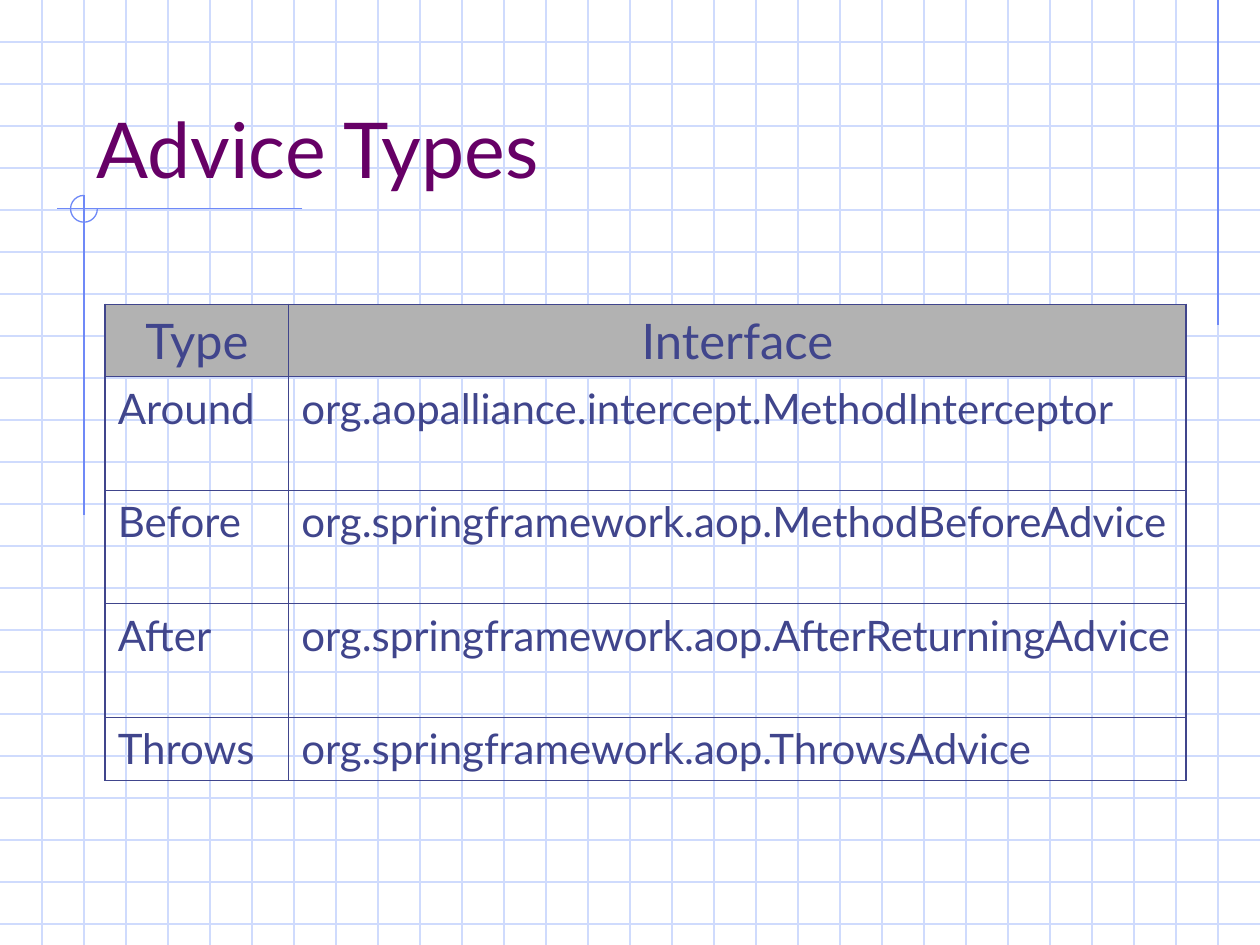
from lxml import etree
from pptx import Presentation
from pptx import util as u
from pptx.dml.color import RGBColor
from pptx.enum import shapes, text
from pptx.oxml import ns

FONT = "Lato"
GRID_BLUE, ACCENT, PURPLE = "CFDBFD", "6F89F7", "660066"
INK, HEADER_GREY = "40458C", "B2B2B2"
WIDTH, HEIGHT = 25.4, 19.05
STEP = WIDTH / 30  # side of a grid square, in cm
THIN, THICK = 0.45, 1.08  # table rules, in points

ADVICE = [
    ("Type", "Interface"),
    ("Around", "org.aopalliance.intercept.MethodInterceptor"),
    ("Before", "org.springframework.aop.MethodBeforeAdvice"),
    ("After", "org.springframework.aop.AfterReturningAdvice"),
    ("Throws", "org.springframework.aop.ThrowsAdvice"),
]


def color(hex_string):
    return RGBColor.from_string(hex_string)


def add_line(slide, x1, y1, x2, y2, stroke):
    line = slide.shapes.add_connector(
        shapes.MSO_CONNECTOR.STRAIGHT, u.Cm(x1), u.Cm(y1), u.Cm(x2), u.Cm(y2))
    line.line.color.rgb = color(stroke)
    line.line.width = u.Pt(0.75)
    etree.SubElement(line._element.spPr, ns.qn("a:effectLst"))


def format_paragraph(paragraph, size, ink):
    for run in paragraph.runs:
        run.font.name = FONT
        run.font.size = u.Pt(size)
        run.font.color.rgb = color(ink)


def add_grid(slide, left, top, width, height):
    for row in range(1, int(height / STEP) + 1):
        y = top + row * STEP
        add_line(slide, left, y, left + width, y, GRID_BLUE)
    for column in range(1, round(width / STEP)):
        x = left + column * STEP
        add_line(slide, x, top, x, top + height, GRID_BLUE)


def add_ornament(slide, left, top, width, height):
    """Rule at top right, and a crosshair with a three-quarter ring."""
    rule_x = left + width - STEP
    add_line(slide, rule_x, top, rule_x, top + 6.55, ACCENT)

    cross_x, cross_y, radius = left + 2 * STEP, top + 4.21, 0.27
    add_line(slide, cross_x + 4.4, cross_y, cross_x - 0.55, cross_y, ACCENT)
    add_line(slide, cross_x, cross_y - radius, cross_x, top + 10.39, ACCENT)

    ring = slide.shapes.add_shape(
        shapes.MSO_SHAPE.ARC, u.Cm(cross_x - radius), u.Cm(cross_y - radius),
        u.Cm(2 * radius), u.Cm(2 * radius))
    ring.adjustments[0] = 0
    ring.adjustments[1] = 162  # 270 degrees
    ring.fill.background()
    ring.line.color.rgb = color(ACCENT)
    ring.line.width = u.Pt(0.75)
    ring.shadow.inherit = False


def add_title(slide, left, top, width, height):
    title = slide.shapes.add_textbox(
        u.Cm(left), u.Cm(top), u.Cm(width), u.Cm(height))
    frame = title.text_frame
    frame.word_wrap = True
    frame.vertical_anchor = text.MSO_ANCHOR.BOTTOM
    frame.text = "Advice Types"
    format_paragraph(frame.paragraphs[0], 44, PURPLE)


def set_borders(cell, widths):
    """Draw the left, right, top and bottom rules of a cell."""
    properties = cell._tc.get_or_add_tcPr()
    for side, width in zip("LRTB", widths):
        rule = etree.SubElement(
            properties, ns.qn(f"a:ln{side}"), w=str(u.Pt(width)))
        fill = etree.SubElement(rule, ns.qn("a:solidFill"))
        etree.SubElement(fill, ns.qn("a:srgbClr"), val=INK)


def add_advice_table(slide, left, top, width, height):
    type_width, header_height, last_height = 3.7, 1.45, 1.27
    middle_height = (height - header_height - last_height) / 3
    row_heights = [header_height] + [middle_height] * 3 + [last_height]
    table = slide.shapes.add_table(
        len(ADVICE), 2, u.Cm(left), u.Cm(top), u.Cm(width), u.Cm(height)).table
    table.first_row = table.horz_banding = False
    table.columns[0].width = u.Cm(type_width)
    table.columns[1].width = u.Cm(width - type_width)

    last_row = len(ADVICE) - 1
    for r, (entries, row_height) in enumerate(zip(ADVICE, row_heights)):
        table.rows[r].height = u.Cm(row_height)
        for c, entry in enumerate(entries):
            cell = table.cell(r, c)
            outer = (c == 0, c == 1, r == 0, r == last_row)
            set_borders(cell, [THICK if edge else THIN for edge in outer])
            cell.text_frame.text = entry
            paragraph = cell.text_frame.paragraphs[0]
            if r == 0:
                cell.fill.solid()
                cell.fill.fore_color.rgb = color(HEADER_GREY)
                paragraph.alignment = text.PP_ALIGN.CENTER
            else:
                cell.fill.background()
            paragraph.space_before = u.Pt(7 if r == 0 else 6)
            format_paragraph(paragraph, 28 if r == 0 else 24, INK)


def main():
    deck = Presentation()
    deck.slide_width, deck.slide_height = u.Cm(WIDTH), u.Cm(HEIGHT)
    slide = deck.slides.add_slide(deck.slide_layouts[6])

    # Background
    add_grid(slide, 0, 0, WIDTH, HEIGHT)
    add_ornament(slide, 0, 0, WIDTH, HEIGHT)

    # Content
    add_title(slide, 2 * STEP, STEP, 21.59, 3.18)
    add_advice_table(slide, 2.12, 6.14, 21.79, 9.59)

    deck.save("out.pptx")


if __name__ == "__main__":
    main()
